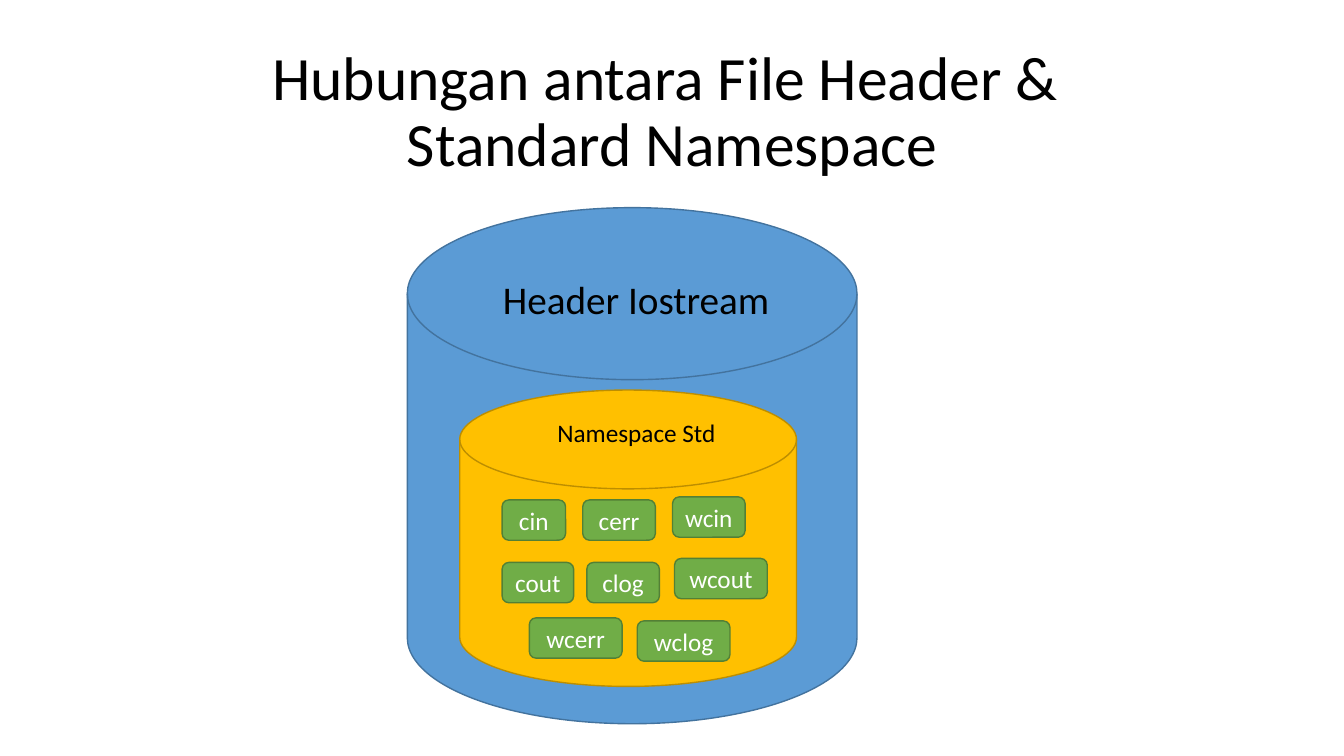
from dataclasses import dataclass

from pptx import Presentation
from pptx.dml.color import RGBColor
from pptx.enum.shapes import MSO_SHAPE
from pptx.enum.text import MSO_ANCHOR, MSO_AUTO_SIZE, PP_ALIGN
from pptx.util import Inches, Pt

DISK = MSO_SHAPE.FLOWCHART_MAGNETIC_DISK
ROUNDED = MSO_SHAPE.ROUNDED_RECTANGLE
MIDDLE = MSO_ANCHOR.MIDDLE
CENTER = PP_ALIGN.CENTER
FIT_SHAPE = MSO_AUTO_SIZE.SHAPE_TO_FIT_TEXT


@dataclass(frozen=True)
class Theme:
    font: str = "Calibri"
    dark: str = "000000"
    light: str = "FFFFFF"
    header: tuple = ("5B9BD5", "43739E")
    namespace: tuple = ("FFC000", "BD8E00")
    member: tuple = ("70AD47", "538035")
    title_size: int = 44
    header_size: int = 28
    label_size: int = 18


theme = Theme()

presentation = Presentation()
presentation.slide_width = Inches(13.33)
presentation.slide_height = Inches(7.5)
slide = presentation.slides.add_slide(presentation.slide_layouts[5])


def add_run(paragraph, text, size, color):
    run = paragraph.add_run()
    run.text = text
    run.font.name = theme.font
    run.font.size = Pt(size)
    run.font.color.rgb = RGBColor.from_string(color)


def add_filled_shape(preset, box, colors):
    shape = slide.shapes.add_shape(preset, *map(Inches, box))
    fill_color, line_color = colors
    shape.shadow.inherit = False
    shape.fill.solid()
    shape.fill.fore_color.rgb = RGBColor.from_string(fill_color)
    shape.line.color.rgb = RGBColor.from_string(line_color)
    shape.line.width = Pt(1)
    return shape


title = slide.shapes.title
title.left, title.top = Inches(0.92), Inches(0.4)
title.width, title.height = Inches(11.5), Inches(1.45)
title.text_frame.vertical_anchor = MIDDLE
title_paragraph = title.text_frame.paragraphs[0]
title_paragraph.alignment = CENTER
title_paragraph.line_spacing = 0.9
add_run(title_paragraph, "Hubungan antara File Header & ", theme.title_size, theme.dark)
title_paragraph.add_line_break()
add_run(title_paragraph, "Standard Namespace", theme.title_size, theme.dark)

containers = [
    ((4.04, 2.06, 4.46, 5.12), theme.header,
     "Header Iostream", (4.89, 2.68, 2.87, 0.57), theme.header_size),
    ((4.56, 3.87, 3.34, 2.94), theme.namespace,
     "Namespace Std", (5.43, 4.09, 1.79, 0.4), theme.label_size),
]
for disk_box, colors, text, label_box, size in containers:
    add_filled_shape(DISK, disk_box, colors)
    label = slide.shapes.add_textbox(*map(Inches, label_box))
    label.text_frame.word_wrap = False
    label.text_frame.auto_size = FIT_SHAPE
    add_run(label.text_frame.paragraphs[0], text, size, theme.dark)

member_height = 0.4
members = [
    ("cin", 4.98, 4.96, 0.63),
    ("cout", 4.98, 5.58, 0.71),
    ("cerr", 5.78, 4.96, 0.72),
    ("clog", 5.82, 5.58, 0.72),
    ("wcin", 6.67, 4.93, 0.72),
    ("wcout", 6.69, 5.54, 0.92),
    ("wcerr", 5.25, 6.13, 0.92),
    ("wclog", 6.32, 6.16, 0.92),
]
for name, left, top, width in members:
    member = add_filled_shape(ROUNDED, (left, top, width, member_height), theme.member)
    member.text_frame.vertical_anchor = MIDDLE
    member_paragraph = member.text_frame.paragraphs[0]
    member_paragraph.alignment = CENTER
    add_run(member_paragraph, name, theme.label_size, theme.light)

presentation.save("out.pptx")
